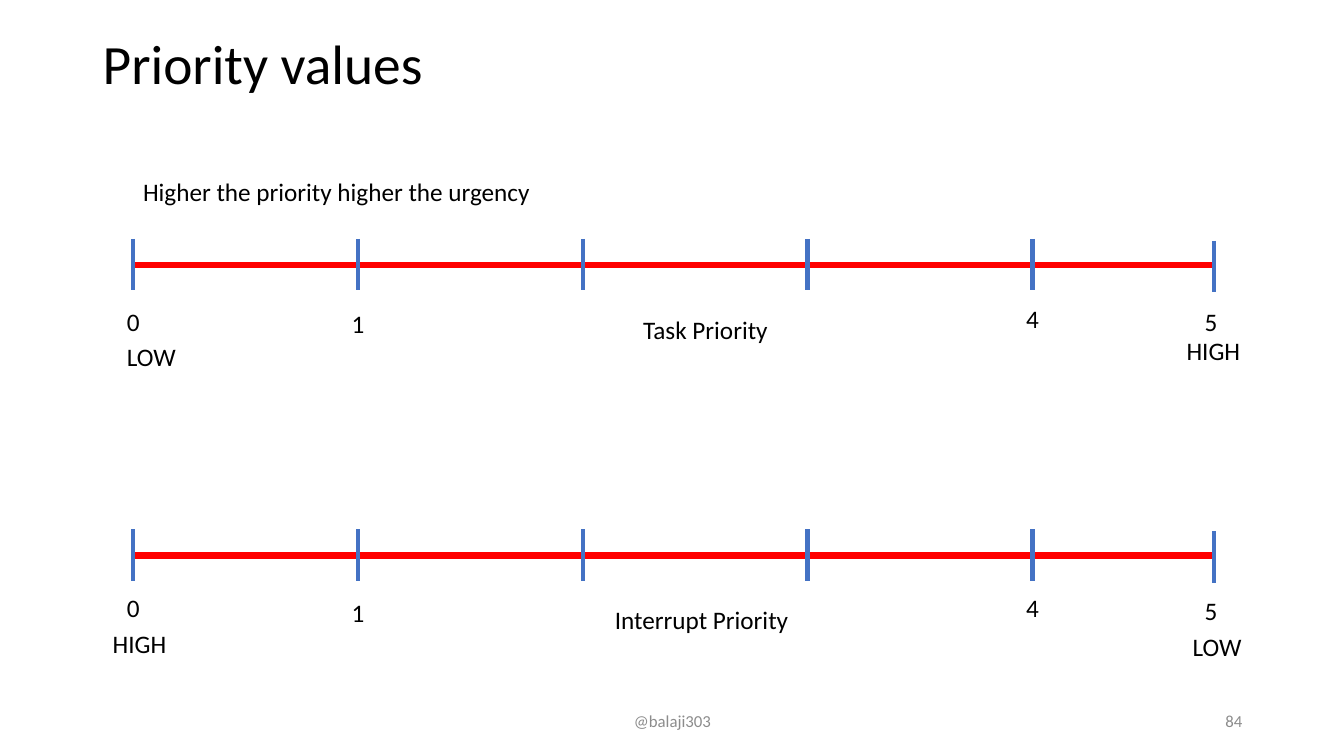
from pptx import Presentation
from pptx.dml.color import RGBColor
from pptx.enum.shapes import MSO_CONNECTOR
from pptx.enum.text import MSO_ANCHOR, MSO_AUTO_SIZE, PP_ALIGN
from pptx.oxml.ns import qn
from pptx.util import Inches, Pt
from lxml import etree

BLACK = RGBColor(0x00, 0x00, 0x00)
GREY = RGBColor(0x8C, 0x8C, 0x8C)
RED = RGBColor(0xFF, 0x00, 0x00)
BLUE = RGBColor(0x44, 0x72, 0xC4)
LEFT, CENTER, RIGHT = PP_ALIGN.LEFT, PP_ALIGN.CENTER, PP_ALIGN.RIGHT
TOP, MIDDLE = MSO_ANCHOR.TOP, MSO_ANCHOR.MIDDLE
FIT = MSO_AUTO_SIZE.SHAPE_TO_FIT_TEXT
STRAIGHT = MSO_CONNECTOR.STRAIGHT

AXIS_LEFT, AXIS_WIDTH = 1.32, 10.72
TICK_STEP, TICK_HEIGHT = 2.23, 0.51
LABEL_HEIGHT = 0.4


def add_text(slide, text, box, size=18, color=BLACK, align=LEFT, anchor=TOP):
    shape = slide.shapes.add_textbox(*map(Inches, box))
    frame = shape.text_frame
    frame.word_wrap = True
    frame.vertical_anchor = anchor
    frame.text = text
    line = frame.paragraphs[0]
    line.alignment = align
    line.font.name = "Calibri"
    line.font.size = Pt(size)
    line.font.color.rgb = color
    return frame


def add_label(slide, text, left, top, width):
    """Add a one-line label whose box fits its text."""
    frame = add_text(slide, text, (left, top, width, LABEL_HEIGHT))
    frame.word_wrap = False
    frame.auto_size = FIT


def add_line(slide, start, end, color, weight):
    line = slide.shapes.add_connector(STRAIGHT, *map(Inches, start + end))
    line.line.color.rgb = color
    line.line.width = Pt(weight)
    etree.SubElement(line._element.spPr, qn("a:effectLst"))


def add_scale(slide, left, top, width, labels):
    """Draw a ticked axis; labels are (text, x, y, width) from its corner."""
    middle = top + 0.26
    add_line(slide, (left, middle), (left + width, middle), RED, 4.5)
    ticks = [(i * TICK_STEP, 0) for i in range(5)] + [(width, 0.02)]
    for x, drop in ticks:
        start = (left + x, top + drop)
        end = (left + x, top + drop + TICK_HEIGHT)
        add_line(slide, start, end, BLUE, 3)
    for text, x, y, size in labels:
        add_label(slide, text, left + x, top + y, size)


def add_title(slide, text, box):
    frame = add_text(slide, text, box, size=39.6, anchor=MIDDLE)
    frame.paragraphs[0].line_spacing = 0.9


def add_footer(slide, left, top, height):
    style = {"size": 12, "color": GREY, "anchor": MIDDLE}
    add_text(slide, "@balaji303", (left, top, 4.5, height),
             align=CENTER, **style)
    add_text(slide, "84", (left + 5, top, 3, height), align=RIGHT, **style)


def main():
    deck = Presentation()
    deck.slide_width, deck.slide_height = Inches(13.33), Inches(7.5)
    slide = deck.slides.add_slide(deck.slide_layouts[6])

    add_title(slide, "Priority values", (0.92, 0.4, 11.5, 0.53))
    add_label(slide, "Higher the priority higher the urgency",
              AXIS_LEFT, 1.7, 4.09)
    task = [
        ("0", -0.16, 0.62, 0.33),
        ("1", 2.07, 0.64, 0.33),
        ("4", 8.76, 0.59, 0.33),
        ("5", 10.53, 0.62, 0.33),
        ("LOW", -0.16, 0.97, 0.69),
        ("HIGH", 10.35, 0.91, 0.74),
        ("Task Priority", 4.96, 0.7, 1.45),
    ]
    interrupt = [
        ("0", -0.16, 0.58, 0.33),
        ("1", 2.07, 0.63, 0.33),
        ("4", 8.76, 0.58, 0.33),
        ("5", 10.53, 0.61, 0.33),
        ("HIGH", -0.3, 0.93, 0.74),
        ("LOW", 10.41, 0.96, 0.69),
        ("Interrupt Priority", 4.68, 0.7, 1.94),
    ]
    for top, labels in ((2.37, task), (5.25, interrupt)):
        add_scale(slide, AXIS_LEFT, top, AXIS_WIDTH, labels)
    add_footer(slide, 4.42, 6.95, 0.4)

    deck.save("out.pptx")


if __name__ == "__main__":
    main()
